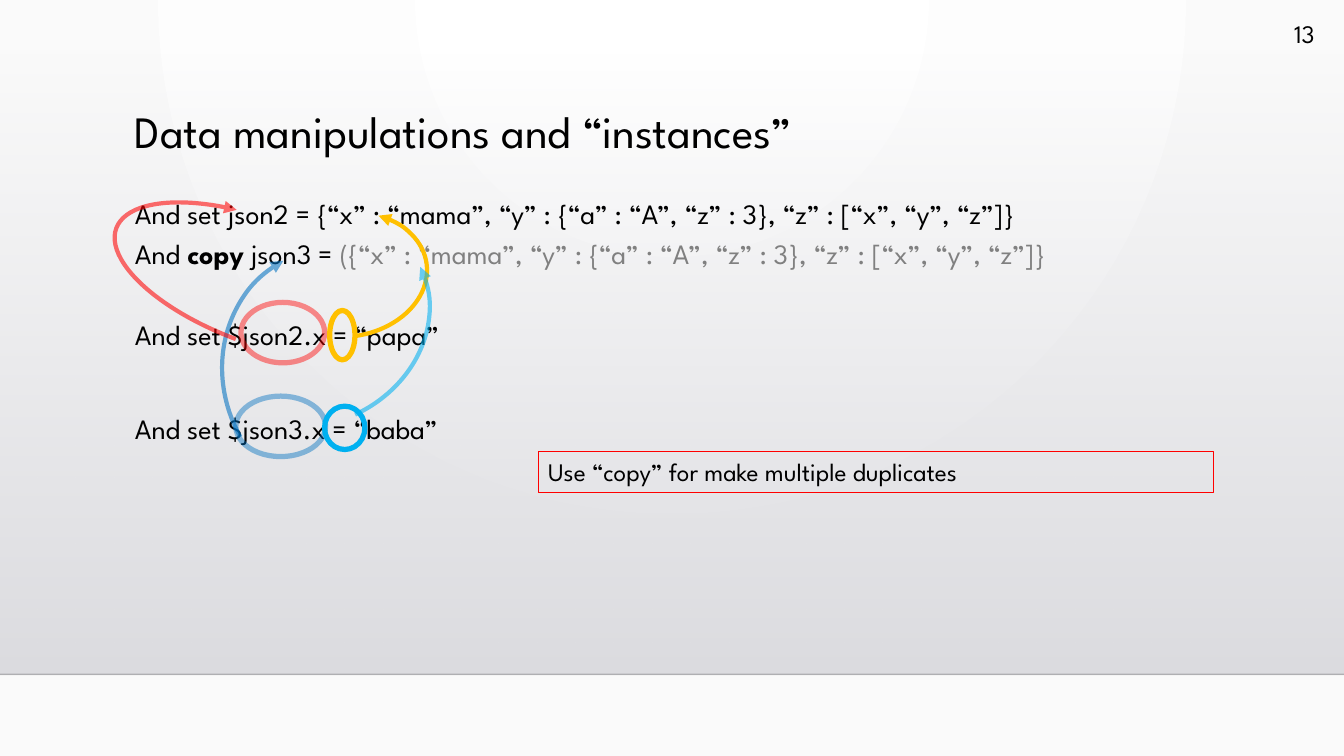
from dataclasses import dataclass

from lxml import etree
from pptx import Presentation
from pptx import util as u
from pptx.dml import color
from pptx.enum import shapes, text
from pptx.oxml import ns

INK = {
    "black": "000000", "grey": "808080", "red": "FF0000", "blue": "0070C0",
    "sky": "00B0F0", "gold": "FFC000", "rule": "000001", "white": "FFFFFF",
    "pale": "FAFAFA", "mist": "DCDCE0", "haze": "DEDEE2",
}
FONT = "League Spartan"
WIDE, HIGH = u.Inches(13.333), u.Inches(7.5)
KIND = shapes.MSO_SHAPE


@dataclass
class Box:
    """Left, top, width and height in percent of the slide."""
    x: float
    y: float
    w: float
    h: float

    def emu(self) -> list[int]:
        return [int(part * side / 100) for part, side in
                zip((self.x, self.y, self.w, self.h), (WIDE, HIGH) * 2)]


@dataclass
class Ring:
    box: Box
    ink: str
    alpha: int = 100


@dataclass
class Arc:
    box: Box
    ink: str
    turn: float
    end: float
    tip: str
    flip: str = ""
    alpha: int = 100


@dataclass
class Bit:
    words: str
    ink: str = "black"
    bold: bool = False


@dataclass
class Para:
    lines: list[list[Bit]]
    before: float = 0
    pitch: float = 1.0


def rgb(name: str) -> color.RGBColor:
    return color.RGBColor.from_string(INK[name])


def fade(node, alpha: int) -> None:
    """Set the opacity of the colour inside a node."""
    tint = next(node.iter(ns.qn("a:srgbClr")))
    etree.SubElement(tint, ns.qn("a:alpha"), val=str(alpha * 1000))


def blend(fill, names: tuple[str, str]) -> None:
    fill.gradient()
    for stop, name in zip(fill.gradient_stops, names):
        stop.color.rgb = rgb(name)


def stroke(item, ink: str, width: float, alpha: int = 100):
    item.line.color.rgb = rgb(ink)
    item.line.width = u.Pt(width)
    line = item.line._get_or_add_ln()
    if alpha < 100:
        fade(line, alpha)
    return line


def plain(slide, kind, box: Box):
    item = slide.shapes.add_shape(kind, *box.emu())
    item.shadow.inherit = False
    item.fill.background()
    return item


def ring(slide, spot: Ring) -> None:
    stroke(plain(slide, KIND.OVAL, spot.box), spot.ink, 3.75, spot.alpha)


def arc(slide, bow: Arc) -> None:
    item = plain(slide, KIND.ARC, bow.box)
    item.rotation = bow.turn
    for spot, angle in enumerate((269.05, bow.end)):
        item.adjustments[spot] = angle * 0.6  # degrees to 1/100000 units
    for axis in bow.flip:
        item.element.spPr.xfrm.set("flip" + axis, "1")
    line = stroke(item, bow.ink, 3, bow.alpha)
    etree.SubElement(line, ns.qn(f"a:{bow.tip}End"), type="triangle")


def write(item, paras: list[Para], size: float, wrap: bool = True) -> None:
    frame = item.text_frame
    form = {"word_wrap": wrap, "vertical_anchor": text.MSO_ANCHOR.TOP,
            "auto_size": text.MSO_AUTO_SIZE.NONE}
    for key, value in form.items():
        setattr(frame, key, value)
    for spot, para in enumerate(paras):
        block = frame.add_paragraph() if spot else frame.paragraphs[0]
        form = {"alignment": text.PP_ALIGN.LEFT, "line_spacing": para.pitch,
                "space_before": u.Pt(para.before)}
        for key, value in form.items():
            setattr(block, key, value)
        for row, line in enumerate(para.lines):
            if row:
                block.add_line_break()
            for bit in line:
                run = block.add_run()
                run.text = bit.words
                form = {"name": FONT, "size": u.Pt(size), "bold": bit.bold}
                for key, value in form.items():
                    setattr(run.font, key, value)
                run.font.color.rgb = rgb(bit.ink)


def label(slide, box: Box, paras: list[Para], size: float, wrap: bool = True) -> None:
    write(slide.shapes.add_textbox(*box.emu()), paras, size, wrap)


DATA = "{“x” : “mama”, “y” : {“a” : “A”, “z” : 3}, “z” : [“x”, “y”, “z”]}"
CODE = [
    Para([[Bit("And set json2 = " + DATA)],
          [Bit("And "), Bit("copy", bold=True), Bit(" json3 = "),
           Bit("(" + DATA, "grey")]], 10, 1.2),
    Para([[Bit("And set $json2.x = “papa”")]], 29, 1.2),
    Para([[Bit("And set $json3.x = “baba”")]], 38.5, 1.2),
]
MARKS = [
    Ring(Box(17.93, 40, 6.23, 8), "red", 44),
    Ring(Box(17.55, 52.4, 6.68, 8), "blue", 44),
    Arc(Box(16.73, 32.4, 18.08, 35.07), "blue", 330.7, 0, "head", "H", 56),
    Ring(Box(24.15, 53.73, 3, 5.73), "sky"),
    Arc(Box(7.95, 28.93, 22.28, 16.4), "red", 20.5, 53.82, "tail", "HV", 56),
    Ring(Box(24.53, 41.07, 1.88, 6.53), "gold"),
    Arc(Box(19.8, 28.13, 12, 16.4), "gold", 352.2, 53.82, "tail", "V"),
    Arc(Box(15.38, 26.27, 15.53, 32.13), "sky", 65, 0, "head", "", 56),
]


def scene(slide) -> None:
    # Round glow behind everything
    blend(slide.background.fill, ("white", "pale"))
    grad = next(slide.element.iter(ns.qn("a:gradFill")))
    for node in grad.findall(ns.qn("a:lin")):
        grad.remove(node)
    glow = etree.SubElement(grad, ns.qn("a:path"), {"path": "circle"})
    etree.SubElement(glow, ns.qn("a:fillToRect"), l="43000", t="0", r="43000", b="100000")

    # Wall that fades in towards the floor
    wall = plain(slide, KIND.RECTANGLE, Box(0, 6.8, 100, 82.4))
    blend(wall.fill, ("mist", "haze"))
    wall.fill.gradient_angle = 270
    fade(wall.element.spPr, 0)
    wall.line.fill.background()

    # Floor line
    level = int(HIGH * 0.892)
    floor = slide.shapes.add_connector(shapes.MSO_CONNECTOR.STRAIGHT, 0, level, WIDE, level)
    stroke(floor, "rule", 1, 20)
    etree.SubElement(floor.element.spPr, ns.qn("a:effectLst"))


def main() -> None:
    deck = Presentation()
    deck.slide_width, deck.slide_height = WIDE, HIGH
    slide = deck.slides.add_slide(deck.slide_layouts[6])
    scene(slide)

    # Title and code
    head = Para([[Bit("Data manipulations and “instances”")]], pitch=0.9)
    label(slide, Box(9.3, 13.87, 78.75, 15.33), [head], 32)
    label(slide, Box(9.3, 24.4, 84.45, 55.33), CODE, 20)

    # Rings and curved arrows
    for mark in MARKS:
        (ring if isinstance(mark, Ring) else arc)(slide, mark)

    # Note and slide number
    note = plain(slide, KIND.RECTANGLE, Box(40.05, 59.73, 50.25, 5.39))
    stroke(note, "red", 0.75)
    write(note, [Para([[Bit("Use “copy” for make multiple duplicates")]])], 18)
    label(slide, Box(95.55, 1.73, 3.6, 5.33), [Para([[Bit("13")]])], 18, False)

    deck.save("out.pptx")


if __name__ == "__main__":
    main()
